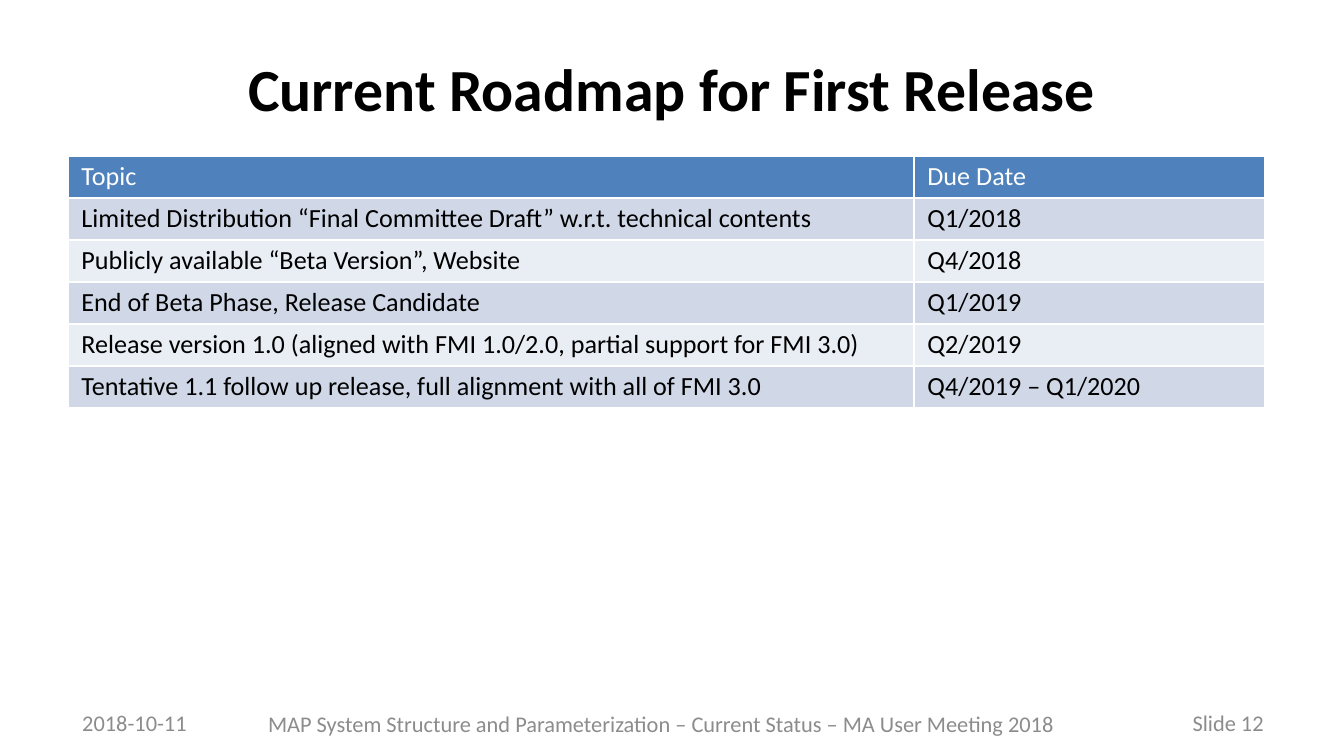
from dataclasses import dataclass
from lxml.etree import SubElement
from pptx import Presentation
from pptx.dml.color import RGBColor as Color
from pptx.enum.text import MSO_ANCHOR as Anchor, PP_ALIGN as Align
from pptx.oxml.ns import qn
from pptx.util import Emu, Pt

SCALE = 914400 / 134.4


@dataclass(frozen=True)
class Theme:
    font: str = "Calibri"
    title_size: int = 32
    table_size: int = 14
    footer_size: int = 12
    black: str = "000000"
    white: str = "FFFFFF"
    gray: str = "8C8C8C"
    header: str = "4F81BD"
    bands: tuple[str, str] = ("D0D8E8", "E9EDF4")
    border: int = 1


@dataclass(frozen=True)
class Box:
    left: int
    top: int
    width: int
    height: int

    def emu(self) -> tuple[Emu, ...]:
        return tuple(map(px, (self.left, self.top, self.width, self.height)))


@dataclass(frozen=True)
class Milestone:
    topic: str
    due: str


@dataclass(frozen=True)
class FooterItem:
    text: str
    box: Box
    align: Align


THEME = Theme()
TITLE_BOX = Box(67, 31, 1210, 114)
TABLE_BOX = Box(68, 156, 1197, 252)
COLUMN_WIDTHS = (846, 351)
CELL_INSET = 5

MILESTONES = (
    Milestone("Topic", "Due Date"),
    Milestone("Limited Distribution “Final Committee Draft” w.r.t. technical contents", "Q1/2018"),
    Milestone("Publicly available “Beta Version”, Website", "Q4/2018"),
    Milestone("End of Beta Phase, Release Candidate", "Q1/2019"),
    Milestone("Release version 1.0 (aligned with FMI 1.0/2.0, partial support for FMI 3.0)", "Q2/2019"),
    Milestone("Tentative 1.1 follow up release, full alignment with all of FMI 3.0", "Q4/2019 – Q1/2020"),
)
FOOTER = (
    FooterItem("MAP System Structure and Parameterization – Current Status – MA User Meeting 2018",
               Box(249, 694, 825, 59), Align.CENTER),
    FooterItem("2018-10-11", Box(69, 703, 148, 40), Align.LEFT),
    FooterItem("Slide 12", Box(1129, 703, 148, 40), Align.RIGHT),
)


def px(length: int) -> Emu:
    return Emu(round(length * SCALE))


def write_text(frame, text: str, *, size: int, color: str,
               align: Align = Align.LEFT, bold: bool = False) -> None:
    frame.word_wrap = True
    paragraph = frame.paragraphs[0]
    paragraph.alignment = align
    run = paragraph.add_run()
    run.text = text
    run.font.name = THEME.font
    run.font.size = Pt(size)
    run.font.bold = bold
    run.font.color.rgb = Color.from_string(color)


def add_borders(cell) -> None:
    properties = cell._tc.get_or_add_tcPr()
    for side in ("lnL", "lnR", "lnT", "lnB"):
        line = SubElement(properties, qn(f"a:{side}"), w=str(Pt(THEME.border)))
        fill = SubElement(line, qn("a:solidFill"))
        SubElement(fill, qn("a:srgbClr"), val=THEME.white)


def fill_cell(cell, text: str, *, fill: str, color: str) -> None:
    add_borders(cell)
    cell.fill.solid()
    cell.fill.fore_color.rgb = Color.from_string(fill)
    cell.margin_top = cell.margin_bottom = px(CELL_INSET)
    write_text(cell.text_frame, text, size=THEME.table_size, color=color)


def add_title(slide, text: str) -> None:
    title = slide.shapes.title
    title.left, title.top, title.width, title.height = TITLE_BOX.emu()
    title.text_frame.vertical_anchor = Anchor.MIDDLE
    write_text(title.text_frame, text, size=THEME.title_size,
               color=THEME.black, align=Align.CENTER, bold=True)


def add_roadmap(slide) -> None:
    table = slide.shapes.add_table(len(MILESTONES), len(COLUMN_WIDTHS), *TABLE_BOX.emu()).table
    for column, width in zip(table.columns, COLUMN_WIDTHS):
        column.width = px(width)
    for index, milestone in enumerate(MILESTONES):
        table.rows[index].height = px(TABLE_BOX.height // len(MILESTONES))
        fill = THEME.bands[(index - 1) % 2] if index else THEME.header
        color = THEME.black if index else THEME.white
        for column, text in enumerate((milestone.topic, milestone.due)):
            fill_cell(table.cell(index, column), text, fill=fill, color=color)


def add_footer_item(slide, item: FooterItem) -> None:
    frame = slide.shapes.add_textbox(*item.box.emu()).text_frame
    frame.vertical_anchor = Anchor.MIDDLE
    write_text(frame, item.text, size=THEME.footer_size, color=THEME.gray, align=item.align)


def main() -> None:
    presentation = Presentation()
    presentation.slide_width, presentation.slide_height = px(1344), px(756)
    slide = presentation.slides.add_slide(presentation.slide_layouts[5])
    add_title(slide, "Current Roadmap for First Release")
    add_roadmap(slide)
    for item in FOOTER:
        add_footer_item(slide, item)
    presentation.save("out.pptx")


main()
